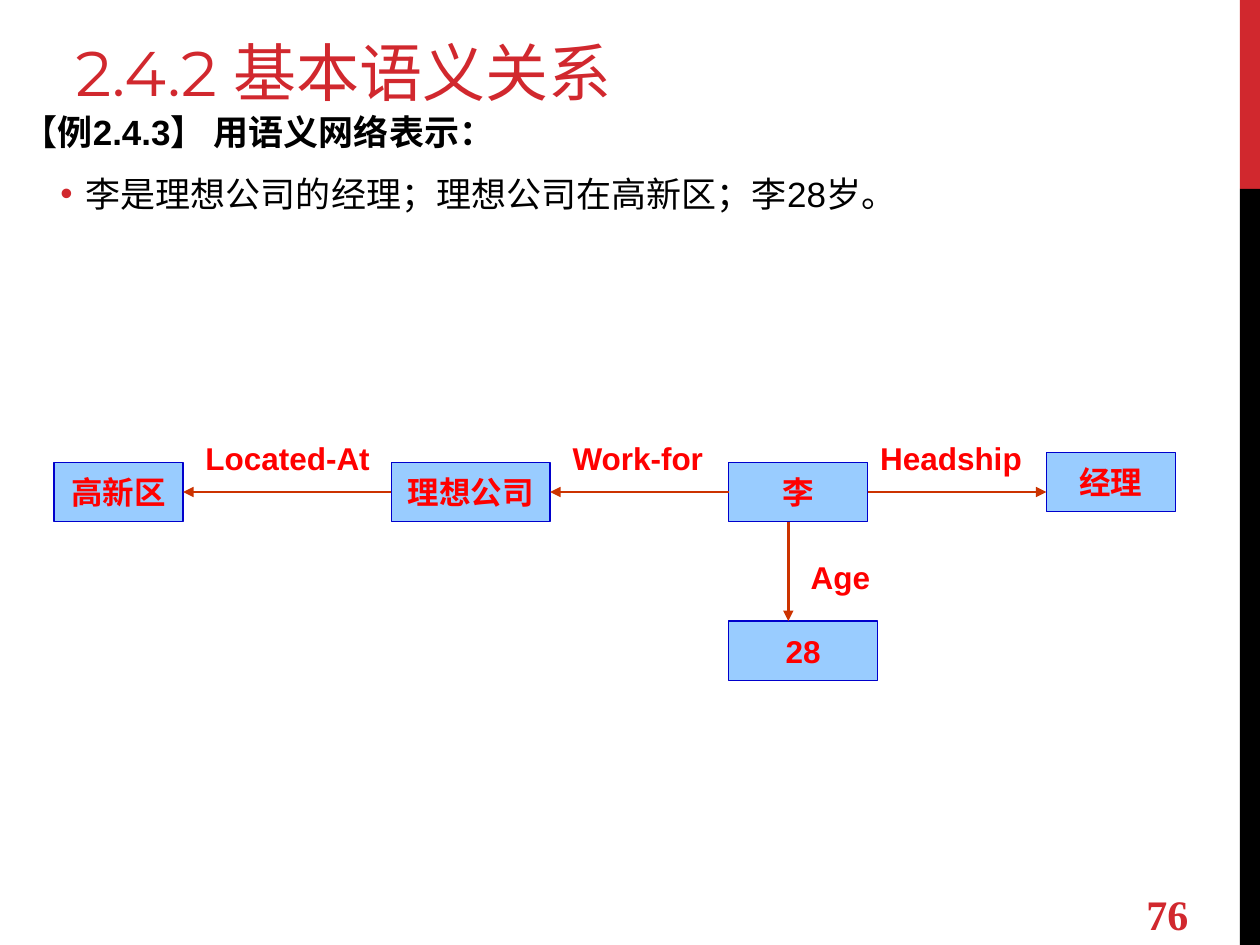
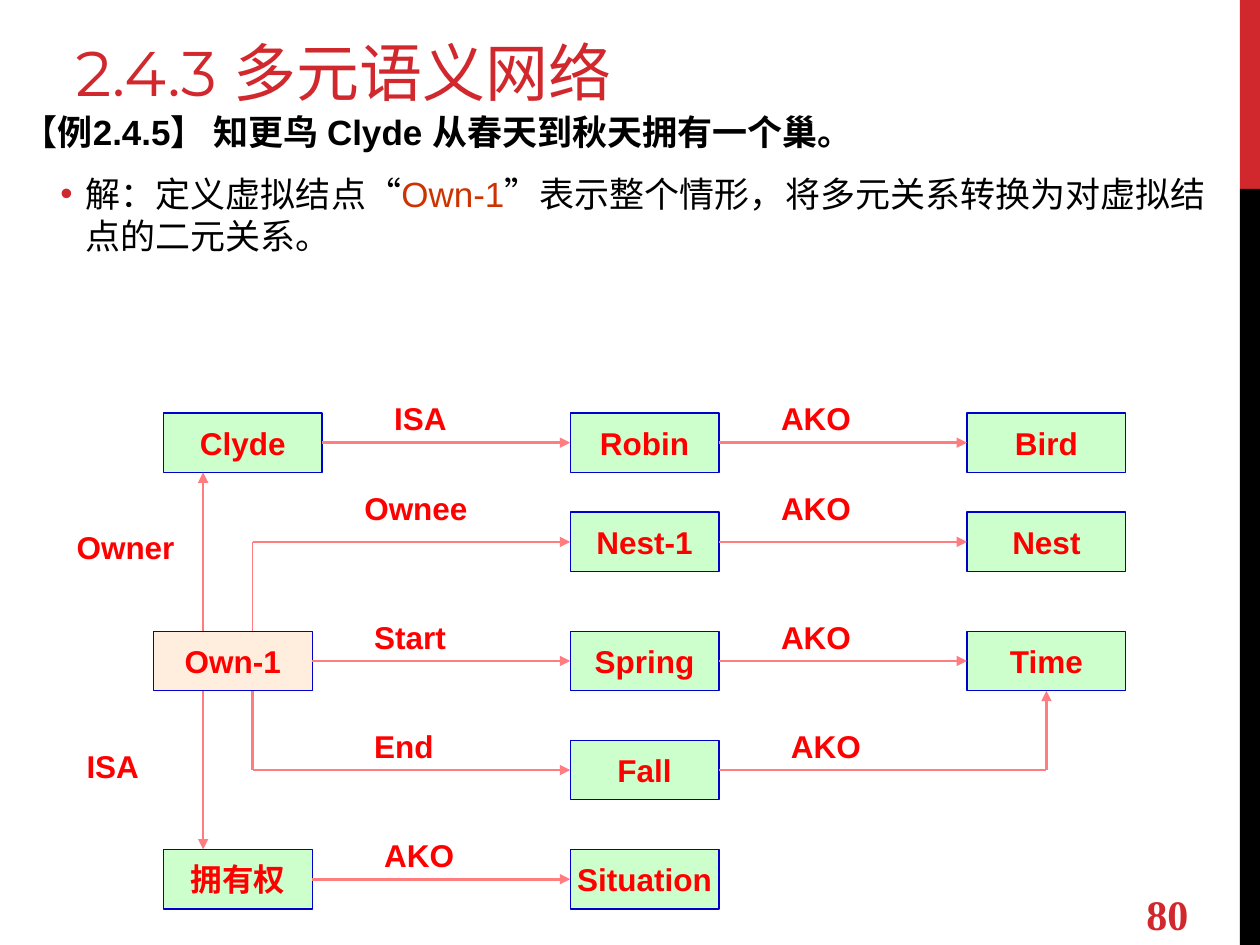
from dataclasses import dataclass
from typing import NamedTuple, Optional, Union

from lxml import etree
from pptx import Presentation, util as u
from pptx.dml.color import RGBColor
from pptx.enum import shapes, text
from pptx.oxml import ns

WIDTH, HEIGHT = u.Inches(10), u.Inches(7.5)
STEP = u.Mm(2)  # one column or row of the diagram grid
NODE_ROWS, LABEL_ROWS = 6, 5
TOP, LEFT, BOTTOM, RIGHT = range(4)

RED, BLACK = "D1282E", "000000"
BLUE, GREEN, CREAM = "99CCFF", "CCFFCC", "FFEEDD"
OUTLINE, LETTERING = "0000CC", "FF0000"
RUST, PINK = "CC3300", "FF7C80"
SANS, SERIF, DISPLAY = "Arial", "Times New Roman", "Montserrat"


class Point(NamedTuple):
    column: float
    row: float


class Side(NamedTuple):
    node: str
    site: int


class Node(NamedTuple):
    name: str
    column: int
    row: int
    columns: int
    fill: str


class Link(NamedTuple):
    start: Union[Point, Side]
    end: Union[Point, Side]
    arrow: bool = True
    weight: float = 1.5


class Label(NamedTuple):
    wording: str
    column: int
    row: int
    columns: int


class Span(NamedTuple):
    wording: str
    font: str = SANS
    color: str = BLACK


@dataclass
class Network:
    left: float
    top: float
    link_color: str
    nodes: list[Node]
    links: list[Link]
    labels: list[Label]


@dataclass
class Lesson:
    title: str
    example: str
    answer: list[Span]
    body_height: float
    number: str
    network: Network


def rgb(value: str) -> RGBColor:
    return RGBColor.from_string(value)


def share(part: float, whole: int) -> int:
    return round(part * whole)


def add_span(para, wording: str, size: float, font: str, color: str, bold: bool = False) -> None:
    span = para.add_run()
    span.text = wording
    span.font.size = u.Pt(size)
    span.font.name = font
    span.font.bold = bold
    span.font.color.rgb = rgb(color)


def place(box, left: int, top: int, width: int, height: int) -> None:
    box.left, box.top, box.width, box.height = left, top, width, height


def set_frame(box, anchor, wrap: bool = True):
    """Fix the text frame's layout and return its first paragraph."""
    frame = box.text_frame
    frame.auto_size = text.MSO_AUTO_SIZE.NONE
    frame.vertical_anchor = anchor
    frame.word_wrap = wrap
    return frame.paragraphs[0]


def set_bullet(para, indent: float, hanging: float, mark: Optional[str] = None) -> None:
    properties = para._p.get_or_add_pPr()
    properties.set("marL", str(u.Inches(indent)))
    properties.set("indent", str(-u.Inches(hanging)))
    if mark is None:
        etree.SubElement(properties, ns.qn("a:buNone"))
        return
    color = etree.SubElement(properties, ns.qn("a:buClr"))
    etree.SubElement(color, ns.qn("a:srgbClr"), val=RED)
    etree.SubElement(properties, ns.qn("a:buFont"), typeface=SANS)
    etree.SubElement(properties, ns.qn("a:buChar"), char=mark)


def add_rectangle(parent, left: int, top: int, width: int, height: int, fill: str):
    box = parent.add_shape(shapes.MSO_SHAPE.RECTANGLE, left, top, width, height)
    box.shadow.inherit = False
    box.fill.solid()
    box.fill.fore_color.rgb = rgb(fill)
    box.line.fill.background()
    return box


def add_bands(page) -> None:
    """Put the two side bands on the layout that every page shares."""
    left = share(0.984, WIDTH)
    split = share(0.2, HEIGHT)
    bands = ((0, split, RED), (split, HEIGHT, BLACK))
    for index, (top, bottom, color) in enumerate(bands):
        band = add_rectangle(page.shapes, left, top, WIDTH - left, bottom - top, color)
        band.element.nvSpPr.cNvPr.set("id", str(100 + index))
        page.slide_layout.shapes.element.append(band.element)


def add_network(page, network: Network) -> None:
    group = page.shapes.add_group_shape().shapes
    left, top = u.Inches(network.left), u.Inches(network.top)
    boxes = {}

    def locate(joint: Union[Point, Side]) -> tuple[int, int]:
        if isinstance(joint, Point):
            return left + round(joint.column * STEP), top + round(joint.row * STEP)
        box = boxes[joint.node]
        across = {LEFT: 0, RIGHT: box.width}.get(joint.site, box.width // 2)
        down = {TOP: 0, BOTTOM: box.height}.get(joint.site, box.height // 2)
        return box.left + across, box.top + down

    for node in network.nodes:
        box = add_rectangle(group, *locate(Point(node.column, node.row)),
                            node.columns * STEP, NODE_ROWS * STEP, node.fill)
        box.line.color.rgb = rgb(OUTLINE)
        box.line.width = u.Pt(0.75)
        para = set_frame(box, text.MSO_ANCHOR.MIDDLE, wrap=False)
        para.alignment = text.PP_ALIGN.CENTER
        add_span(para, node.name, 18, SANS, LETTERING, True)
        boxes[node.name] = box

    for link in network.links:
        line = group.add_connector(shapes.MSO_CONNECTOR.STRAIGHT,
                                   *locate(link.start), *locate(link.end))
        for joint, connect in ((link.start, line.begin_connect), (link.end, line.end_connect)):
            if isinstance(joint, Side):
                connect(boxes[joint.node], joint.site)
        line.line.color.rgb = rgb(network.link_color)
        line.line.width = u.Pt(link.weight)
        if link.arrow:
            etree.SubElement(line.line._get_or_add_ln(), ns.qn("a:tailEnd"), type="triangle")
        etree.SubElement(line.element.spPr, ns.qn("a:effectLst"))

    for label in network.labels:
        box = group.add_textbox(*locate(Point(label.column, label.row)),
                                label.columns * STEP, LABEL_ROWS * STEP)
        para = set_frame(box, text.MSO_ANCHOR.TOP)
        add_span(para, label.wording, 18, SANS, LETTERING, True)


def add_lesson(page, lesson: Lesson) -> None:
    title, body = page.placeholders
    place(title, share(0.05, WIDTH), u.Inches(0.17), share(0.633, WIDTH), share(0.1, HEIGHT))
    para = set_frame(title, text.MSO_ANCHOR.BOTTOM)
    para.alignment = text.PP_ALIGN.LEFT
    add_span(para, lesson.title, 36, DISPLAY, RED)

    place(body, share(0.008, WIDTH), u.Inches(0.83), share(0.983, WIDTH),
          u.Inches(lesson.body_height))
    para = set_frame(body, text.MSO_ANCHOR.TOP)
    set_bullet(para, 0, 0)
    para.space_before, para.space_after = u.Pt(0), u.Pt(6)
    add_span(para, lesson.example, 20, SANS, BLACK, True)
    para = body.text_frame.add_paragraph()
    para.level = 1
    set_bullet(para, 0.5, 0.2, "•")
    para.space_before = u.Pt(5)
    for span in lesson.answer:
        add_span(para, span.wording, 20, span.font, span.color)

    add_network(page, lesson.network)

    number = page.shapes.add_textbox(share(0.9, WIDTH), share(0.94, HEIGHT),
                                     share(0.084, WIDTH), u.Inches(0.4))
    para = set_frame(number, text.MSO_ANCHOR.MIDDLE)
    add_span(para, lesson.number, 24, SERIF, RED, True)


def across(start: str, end: str) -> Link:
    return Link(Side(start, RIGHT), Side(end, LEFT))


MANAGER = Network(
    0.43, 3.59, RUST,
    nodes=[Node("高新区", 0, 1, 13, BLUE), Node("理想公司", 34, 1, 16, BLUE),
           Node("李", 68, 1, 14, BLUE), Node("经理", 100, 0, 13, BLUE),
           Node("28", 68, 17, 15, BLUE)],
    links=[Link(Side("理想公司", LEFT), Side("高新区", RIGHT)),
           Link(Side("李", LEFT), Side("理想公司", RIGHT)),
           Link(Side("李", RIGHT), Point(100, 4)),
           Link(Point(74, 7), Point(74, 17))],
    labels=[Label("Located-At", 14, -2, 20), Label("Work-for", 51, -2, 17),
            Label("Headship", 82, -2, 17), Label("Age", 75, 10, 10)],
)

MIDDLE_COLUMN, LAST_COLUMN = 51, 91
ROWS = (2, 12, 24, 35, 46)
MIDDLE_NAMES = ("Robin", "Nest-1", "Spring", "Fall", "Situation")
LAST_NAMES = ("Bird", "Nest", "Time")
NEST_ROW, FALL_ROW = ROWS[1] + 3, ROWS[3] + 3

OWNERSHIP = Network(
    0.51, 3.12, PINK,
    nodes=[Node("Clyde", 10, ROWS[0], 16, GREEN),
           *(Node(name, MIDDLE_COLUMN, row, 15, GREEN) for name, row in zip(MIDDLE_NAMES, ROWS)),
           *(Node(name, LAST_COLUMN, row, 16, GREEN) for name, row in zip(LAST_NAMES, ROWS)),
           Node("Own-1", 9, ROWS[2], 16, CREAM),
           Node("拥有权", 10, ROWS[4], 15, GREEN)],
    links=[across("Clyde", "Robin"), across("Own-1", "Spring"), across("拥有权", "Situation"),
           *(across(*pair) for pair in zip(MIDDLE_NAMES, LAST_NAMES)),
           Link(Point(14, 24), Point(14, 8)),
           Link(Point(14, 30), Point(14, 46)),
           Link(Point(19, 24), Point(19, NEST_ROW), arrow=False, weight=0.75),
           Link(Point(19, NEST_ROW), Side("Nest-1", LEFT)),
           Link(Point(19, 30), Point(19, FALL_ROW), arrow=False),
           Link(Point(19, FALL_ROW), Side("Fall", LEFT)),
           Link(Side("Fall", RIGHT), Point(99, FALL_ROW), arrow=False),
           Link(Point(99, FALL_ROW), Side("Time", BOTTOM))],
    labels=[Label("ISA", 32, 0, 10), Label("AKO", 71, 0, 11),
            Label("Ownee", 29, 9, 14), Label("AKO", 71, 9, 10),
            Label("Start", 30, 22, 10), Label("AKO", 71, 22, 10),
            Label("End", 30, 33, 9), Label("AKO", 72, 33, 11),
            Label("AKO", 31, 44, 11),
            Label("Owner", 0, 13, 14), Label("ISA", 1, 35, 11)],
)

LESSONS = [
    Lesson("2.4.2 基本语义关系", "【例2.4.3】 用语义网络表示：",
           [Span("李是理想公司的经理；理想公司在高新区；李28岁。")], 1.04, "76", MANAGER),
    Lesson("2.4.3 多元语义网络", "【例2.4.5】 知更鸟 Clyde 从春天到秋天拥有一个巢。",
           [Span("解：定义虚拟结点"), Span("“", SERIF), Span("Own-1", color=RUST),
            Span("”", SERIF),
            Span("表示整个情形，将多元关系转换为对虚拟结点的二元关系。")],
           1.44, "80", OWNERSHIP),
]


def main() -> None:
    deck = Presentation()
    deck.slide_width, deck.slide_height = WIDTH, HEIGHT
    layout = deck.slide_layouts[1]
    pages = [deck.slides.add_slide(layout) for _ in LESSONS]
    add_bands(pages[0])
    for page, lesson in zip(pages, LESSONS):
        add_lesson(page, lesson)
    deck.save("out.pptx")


if __name__ == "__main__":
    main()
